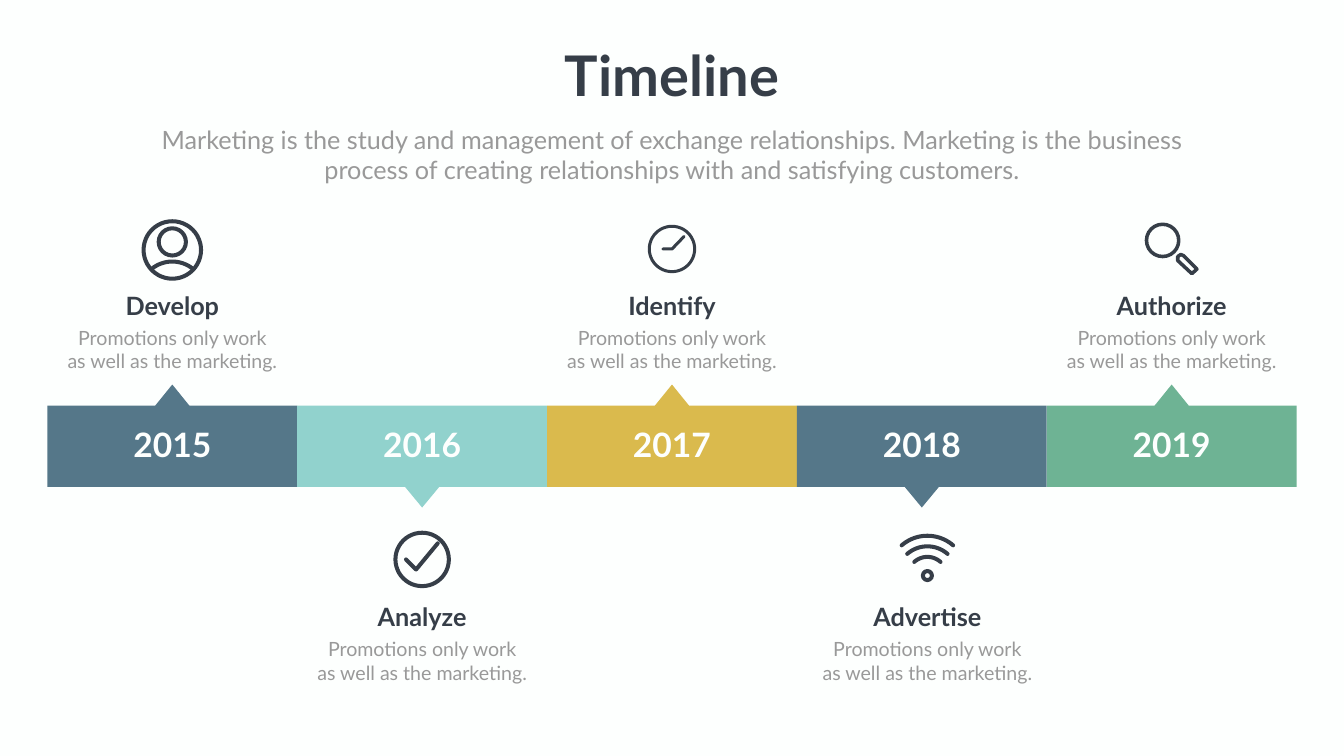
import math
from dataclasses import dataclass

from lxml import etree
from pptx import Presentation
from pptx.dml.color import RGBColor
from pptx.enum.shapes import MSO_SHAPE
from pptx.enum.text import PP_ALIGN
from pptx.oxml.ns import qn
from pptx.util import Inches, Pt

OVAL = MSO_SHAPE.OVAL
CENTER = PP_ALIGN.CENTER


@dataclass(frozen=True)
class Theme:
    font: str = "Lato"
    paper: str = "FDFFFE"
    ink: str = "363E48"
    muted: str = "999999"
    blue: str = "557789"
    aqua: str = "91D2CD"
    gold: str = "DABA4D"
    green: str = "6EB394"
    title_size: int = 80
    year_size: int = 48
    heading_size: int = 36
    body_size: int = 28


THEME = Theme()


def rgb(color):
    return RGBColor.from_string(color)


# Basic parts; all lengths are inches

def add_text(page, left, top, width, height, text, size, color, bold=False):
    box = page.shapes.add_textbox(Inches(left), Inches(top), Inches(width), Inches(height))
    frame = box.text_frame
    frame.word_wrap = True
    frame.text = text
    for para in frame.paragraphs:
        para.alignment = CENTER
        for span in para.runs:
            span.font.name = THEME.font
            span.font.size = Pt(size)
            span.font.bold = bold
            span.font.color.rgb = rgb(color)


def add_outline(page, points, close):
    corners = [(Inches(x), Inches(y)) for x, y in points]
    builder = page.shapes.build_freeform(*corners[0])
    builder.add_line_segments(corners[1:], close=close)
    shape = builder.convert_to_shape()
    shape.shadow.inherit = False
    return shape


def draw_stroke(shape, weight):
    """Leave a shape unfilled with a dark line, round at ends and corners."""
    shape.shadow.inherit = False
    shape.fill.background()
    shape.line.width = Inches(weight)
    shape.line.color.rgb = rgb(THEME.ink)
    line = shape.element.spPr.find(qn("a:ln"))
    line.set("cap", "rnd")
    etree.SubElement(line, qn("a:round"))


def add_ring(page, x, y, radius, weight):
    """Ring whose radius is measured to the middle of its line."""
    ring = page.shapes.add_shape(OVAL, Inches(x - radius), Inches(y - radius),
                                 Inches(2 * radius), Inches(2 * radius))
    draw_stroke(ring, weight)


def add_path(page, x, y, points, weight, close=False):
    placed = [(x + dx, y + dy) for dx, dy in points]
    draw_stroke(add_outline(page, placed, close), weight)


def add_arch(page, x, top, half_width, rise, weight, steps=24):
    """Circular arch given by its top, half width and rise."""
    radius = (half_width ** 2 + rise ** 2) / (2 * rise)
    reach = math.asin(half_width / radius)
    angles = [reach * (2 * step / steps - 1) for step in range(steps + 1)]
    points = [(radius * math.sin(angle), radius * (1 - math.cos(angle))) for angle in angles]
    add_path(page, x, top, points, weight)


# Icons, each placed around its centre

def person_icon(page, x, y):
    add_ring(page, x, y + 0.02, 0.57, 0.08)
    add_ring(page, x, y - 0.14, 0.27, 0.08)
    add_arch(page, x, y + 0.25, 0.39, 0.13, 0.08)


def check_icon(page, x, y):
    add_ring(page, x, y - 0.02, 0.53, 0.08)
    add_path(page, x, y, [(-0.32, -0.02), (-0.12, 0.18), (0.31, -0.34)], 0.08)


def clock_icon(page, x, y):
    add_ring(page, x, y, 0.45, 0.06)
    add_path(page, x, y, [(-0.18, 0), (0, 0), (0.24, -0.25)], 0.06)


def signal_icon(page, x, y):
    for top, half_width, rise in ((-0.49, 0.51, 0.19), (-0.28, 0.4, 0.15), (-0.07, 0.26, 0.1)):
        add_arch(page, x, y + top, half_width, rise, 0.08)
    add_ring(page, x, y + 0.3, 0.09, 0.08)


def search_icon(page, x, y):
    add_ring(page, x - 0.18, y - 0.17, 0.32, 0.07)
    handle = [(0.12, 0.15), (0.18, 0.11), (0.23, 0.13), (0.5, 0.4), (0.4, 0.49), (0.12, 0.23)]
    add_path(page, x, y, handle, 0.07, close=True)


# Regions

def add_header(page, left, top, width):
    add_text(page, left, top, width, 1.45, "Timeline", THEME.title_size, THEME.ink, True)
    add_text(page, left, top + 1.66, width, 1.31,
             "Marketing is the study and management of exchange relationships. "
             "Marketing is the business process of creating relationships with "
             "and satisfying customers.", THEME.heading_size, THEME.muted)


def add_segment(page, left, top, width, height, year, color, above):
    """Bar segment with a pointer on its upper or lower side."""
    middle, right, bottom = left + width / 2, left + width, top + height
    side, far = (top, bottom) if above else (bottom, top)
    tip = side - 0.42 if above else side + 0.41
    points = [(left, side), (middle - 0.34, side), (middle, tip), (middle + 0.34, side),
              (right, side), (right, far), (left, far)]
    segment = add_outline(page, points, close=True)
    segment.fill.solid()
    segment.fill.fore_color.rgb = rgb(color)
    segment.line.fill.background()
    add_text(page, middle - 1.3, top + 0.32, 2.6, 0.91, year,
             THEME.year_size, THEME.paper, True)


def add_caption(page, x, top, heading, icon):
    icon(page, x, top - 0.77)
    add_text(page, x - 1.3, top, 2.6, 0.71, heading, THEME.heading_size, THEME.ink, True)
    add_text(page, x - 2.47, top + 0.7, 4.94, 1.04,
             "Promotions only work\nas well as the marketing.",
             THEME.body_size, THEME.muted)


def add_timeline(page, left, top, width, height, stages):
    step = width / len(stages)
    for index, (year, heading, color, icon, shift) in enumerate(stages):
        above = index % 2 == 0
        start = left + index * step
        add_segment(page, start, top, step, height, year, color, above)
        caption_top = top - 2.34 if above else top + 3.84
        add_caption(page, start + step / 2 + shift, caption_top, heading, icon)


# Year, heading, colour, icon, sideways shift of the caption
STAGES = (
    ("2015", "Develop", THEME.blue, person_icon, 0),
    ("2016", "Analyze", THEME.aqua, check_icon, 0),
    ("2017", "Identify", THEME.gold, clock_icon, 0),
    ("2018", "Advertise", THEME.blue, signal_icon, 0.11),
    ("2019", "Authorize", THEME.green, search_icon, 0),
)


def main():
    deck = Presentation()
    deck.slide_width, deck.slide_height = Inches(26.66), Inches(15)
    page = deck.slides.add_slide(deck.slide_layouts[6])
    page.background.fill.solid()
    page.background.fill.fore_color.rgb = rgb(THEME.paper)
    add_header(page, 2.68, 0.75, 21.3)
    add_timeline(page, 0.94, 8.05, 24.78, 1.61, STAGES)
    deck.save("out.pptx")


if __name__ == "__main__":
    main()
